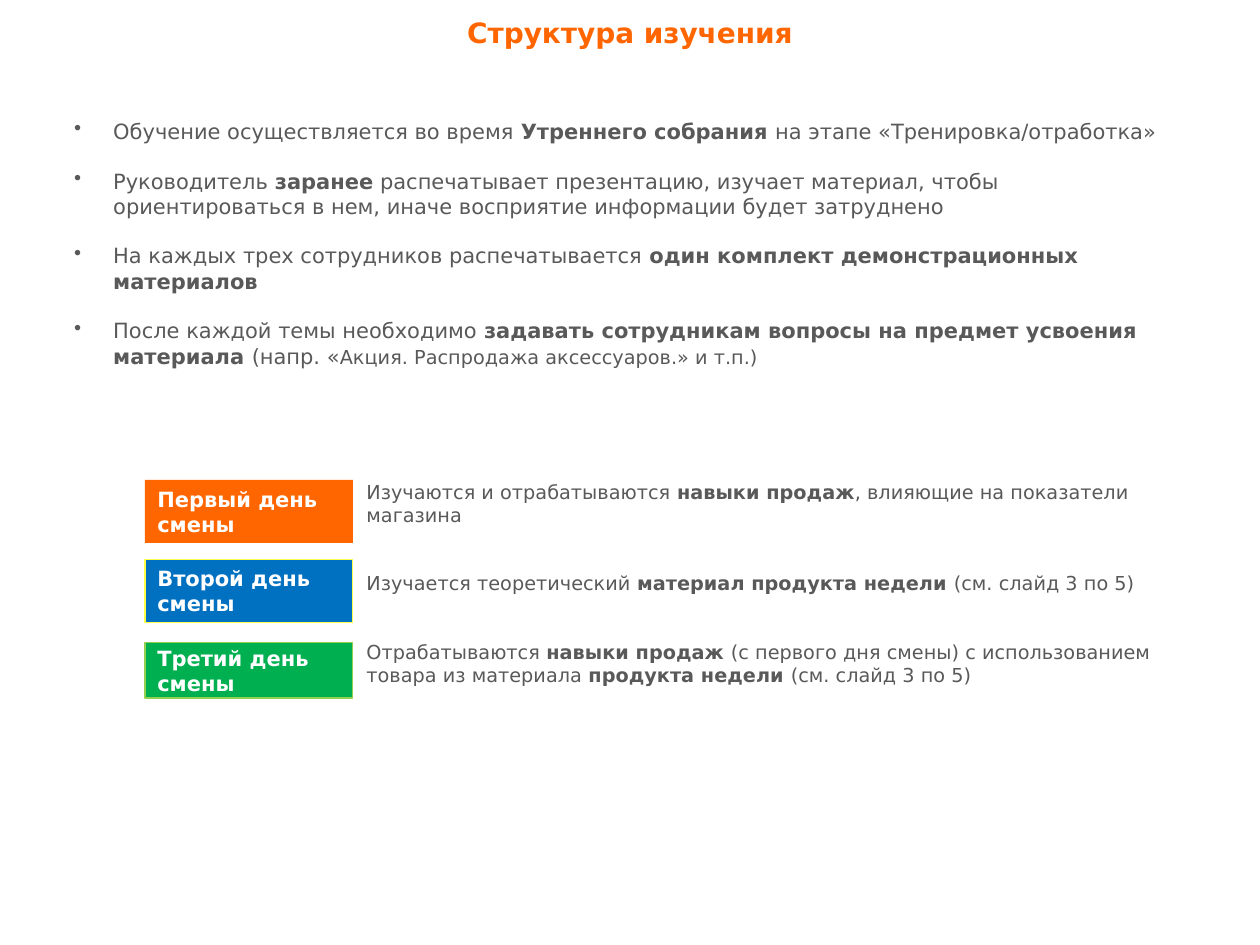
from lxml import etree
from pptx import Presentation
from pptx.dml.color import RGBColor
from pptx.enum.shapes import MSO_SHAPE
from pptx.enum.text import MSO_ANCHOR, MSO_AUTO_SIZE, PP_ALIGN
from pptx.oxml.ns import qn
from pptx.util import Inches, Pt

RECTANGLE = MSO_SHAPE.RECTANGLE
TOP, MIDDLE = MSO_ANCHOR.TOP, MSO_ANCHOR.MIDDLE
LEFT, CENTER = PP_ALIGN.LEFT, PP_ALIGN.CENTER
NO_AUTOFIT = MSO_AUTO_SIZE.NONE

FONT = "DejaVu Sans"
ORANGE, BLUE, GREEN = "FF6600", "0070C0", "00B050"
YELLOW, LIME = "FFFF47", "92D050"
GREY, WHITE = "595959", "FFFFFF"

TITLE = "Структура изучения"

# A paragraph is a list of (text, bold) runs, with an optional size in points.
RULES = [
    [("Обучение осуществляется во время ", False), ("Утреннего собрания ", True),
     ("на этапе «Тренировка/отработка»", False)],
    [("Руководитель ", False), ("заранее", True),
     (" распечатывает презентацию, изучает материал, чтобы ориентироваться в нем, "
      "иначе восприятие информации будет затруднено", False)],
    [("На каждых трех сотрудников распечатывается ", False),
     ("один комплект демонстрационных материалов", True)],
    [("После каждой темы необходимо ", False),
     ("задавать сотрудникам вопросы на предмет усвоения материала ", True),
     ("(напр. «", False), ("Акция. Распродажа аксессуаров.» и т.п.)", False, 11)],
]

# Label, fill, outline, height, description
DAYS = [
    ("Первый день смены", ORANGE, None, 0.5,
     [("Изучаются и отрабатываются ", False), ("навыки продаж", True),
      (", влияющие на показатели магазина", False)]),
    ("Второй день смены", BLUE, YELLOW, 0.5,
     [("Изучается теоретический ", False), ("материал продукта недели ", True),
      ("(см. слайд 3 по 5)", False)]),
    ("Третий день смены", GREEN, LIME, 0.44,
     [("Отрабатываются ", False), ("навыки продаж ", True),
      ("(с первого дня смены) с использованием товара из материала ", False),
      ("продукта недели ", True), ("(см. слайд 3 по 5)", False)]),
]

SLIDE_WIDTH, SLIDE_HEIGHT = 10, 7.5
DAY_LEFT, DAY_WIDTH = 1.15, 1.65
FIRST_DAY_MIDDLE, DAY_PITCH = 4.06, 0.63
HANGING_INDENT = 0.31


def rgb(value):
    return RGBColor.from_string(value)


def inches(*lengths):
    return [Inches(length) for length in lengths]


def add_bullet(paragraph, color):
    properties = paragraph._p.get_or_add_pPr()
    properties.set("marL", str(Inches(HANGING_INDENT)))
    properties.set("indent", str(-Inches(HANGING_INDENT)))
    bullet_color = etree.SubElement(properties, qn("a:buClr"))
    etree.SubElement(bullet_color, qn("a:srgbClr"), val=color)
    etree.SubElement(properties, qn("a:buChar"), char="•")


def write(shape, paragraphs, size=12, color=GREY, align=LEFT, anchor=TOP,
          gap=0, bulleted=False):
    """Fill a shape with paragraphs of runs; gap is the points between paragraphs."""
    frame = shape.text_frame
    frame.word_wrap = True
    frame.auto_size = NO_AUTOFIT
    frame.vertical_anchor = anchor
    for index, runs in enumerate(paragraphs):
        paragraph = frame.add_paragraph() if index else frame.paragraphs[0]
        paragraph.alignment = align
        paragraph.space_before = Pt(gap if index else 0)
        if bulleted:
            add_bullet(paragraph, color)
        for text, bold, *own_size in runs:
            run = paragraph.add_run()
            run.text = text
            run.font.name = FONT
            run.font.size = Pt(own_size[0] if own_size else size)
            run.font.bold = bold
            run.font.color.rgb = rgb(color)


def add_day(slide, row, label, fill, outline, height):
    top = FIRST_DAY_MIDDLE + row * DAY_PITCH - height / 2
    box = slide.shapes.add_shape(
        RECTANGLE, *inches(DAY_LEFT, top, DAY_WIDTH, height))
    box.shadow.inherit = False
    box.fill.solid()
    box.fill.fore_color.rgb = rgb(fill)
    if outline:
        box.line.color.rgb = rgb(outline)
        box.line.width = Pt(0.75)
    else:
        box.line.fill.background()
    write(box, [[(label, True)]], color=WHITE, anchor=MIDDLE)


def main():
    presentation = Presentation()
    presentation.slide_width, presentation.slide_height = inches(
        SLIDE_WIDTH, SLIDE_HEIGHT)
    slide = presentation.slides.add_slide(presentation.slide_layouts[5])

    title = slide.shapes.title
    title.left, title.top, title.width, title.height = inches(
        0, 0.07, SLIDE_WIDTH, 0.37)
    write(title, [[(TITLE, True)]], size=16, color=ORANGE, align=CENTER)

    descriptions = slide.shapes.add_textbox(
        *inches(DAY_LEFT + DAY_WIDTH + 0.01, 3.76, 6.69, 1.57))
    write(descriptions, [day[-1] for day in DAYS], size=11, gap=26)

    rules = slide.shapes.add_textbox(*inches(0.49, 0.89, 9.05, 1.9))
    write(rules, RULES, gap=14, bulleted=True)

    for row, (label, fill, outline, height, _) in enumerate(DAYS):
        add_day(slide, row, label, fill, outline, height)

    presentation.save("out.pptx")


if __name__ == "__main__":
    main()
